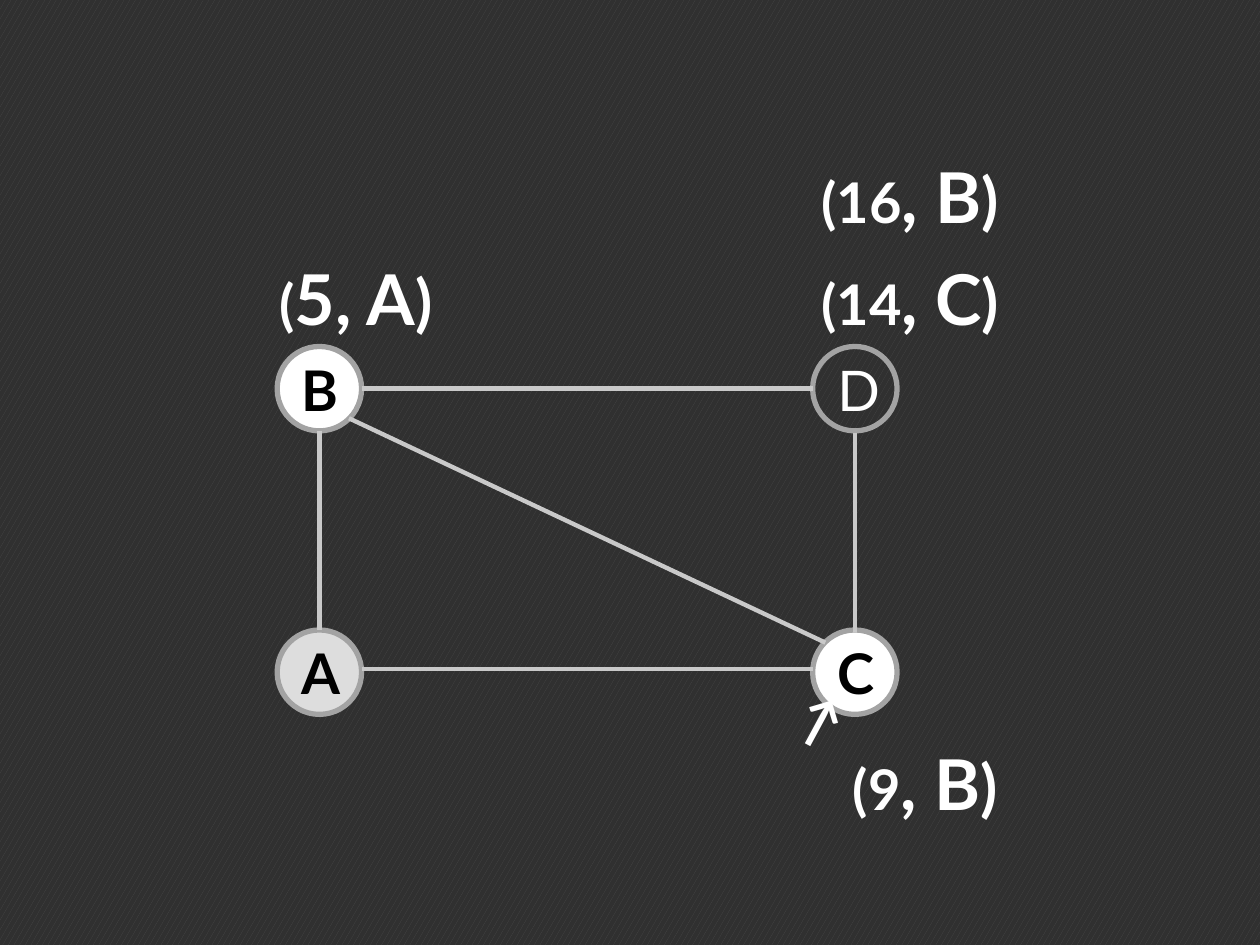
from lxml import etree
from pptx import Presentation
from pptx.dml.color import RGBColor
from pptx.enum.dml import MSO_PATTERN
from pptx.enum.shapes import MSO_CONNECTOR, MSO_SHAPE
from pptx.enum.text import MSO_ANCHOR, MSO_AUTO_SIZE, PP_ALIGN
from pptx.oxml.ns import qn
from pptx.util import Inches, Pt

COLORS = {
    "background": "303030",
    "hatch": "474747",
    "visited": "FFFFFF",
    "start": "DDDDDD",
    "ring": "A3A3A3",
    "edge": "C9C9C9",
    "light": "FFFFFF",
    "dark": "000000",
}
NODE_SIZE = 0.67


def color(name):
    return RGBColor.from_string(COLORS[name])


def add_text(paragraph, text, size=32, ink="light", bold=True):
    run = paragraph.add_run()
    run.text = text
    run.font.name = "Lato"
    run.font.size = Pt(size)
    run.font.bold = bold
    run.font.color.rgb = color(ink)


def add_background(slide):
    fill = slide.background.fill
    fill.patterned()
    fill.pattern = MSO_PATTERN.LARGE_CONFETTI
    fill.fore_color.rgb = color("hatch")
    fill.back_color.rgb = color("background")


def add_node(slide, letter, left, top, fill=None):
    """Draw a graph node; one without a fill is still unvisited."""
    node = slide.shapes.add_shape(
        MSO_SHAPE.OVAL, Inches(left), Inches(top), Inches(NODE_SIZE), Inches(NODE_SIZE))
    node.shadow.inherit = False
    if fill:
        node.fill.solid()
        node.fill.fore_color.rgb = color(fill)
    else:
        node.fill.background()
    node.line.color.rgb = color("ring")
    node.line.width = Pt(3)
    frame = node.text_frame
    frame.vertical_anchor = MSO_ANCHOR.MIDDLE
    paragraph = frame.paragraphs[0]
    paragraph.alignment = PP_ALIGN.CENTER
    add_text(paragraph, letter, ink="dark" if fill else "light", bold=bool(fill))


def add_edge(slide, x1, y1, x2, y2):
    edge = slide.shapes.add_connector(
        MSO_CONNECTOR.STRAIGHT, Inches(x1), Inches(y1), Inches(x2), Inches(y2))
    edge.line.color.rgb = color("edge")
    edge.line.width = Pt(2.5)
    etree.SubElement(edge.element.spPr, qn("a:effectLst"))


def add_label(slide, runs, left, top, width, height=0.77, rotation=0):
    """Place one line of text made of (text, size) runs."""
    label = slide.shapes.add_textbox(
        Inches(left), Inches(top), Inches(width), Inches(height))
    label.rotation = rotation
    frame = label.text_frame
    frame.word_wrap = False
    frame.auto_size = MSO_AUTO_SIZE.SHAPE_TO_FIT_TEXT
    for text, size in runs:
        add_text(frame.paragraphs[0], text, size)


def add_graph(slide, left, top, width, height):
    right = left + width - NODE_SIZE
    bottom = top + height - NODE_SIZE
    add_node(slide, "B", left, top, "visited")
    add_node(slide, "D", right, top)
    add_node(slide, "A", left, bottom, "start")
    add_node(slide, "C", right, bottom, "visited")

    radius = NODE_SIZE / 2
    inner_left = left + NODE_SIZE
    inner_top = top + NODE_SIZE
    for y in (top + radius, bottom + 0.31):
        add_edge(slide, inner_left, y, right, y)
    for x, drop in ((left + radius, 0), (right + radius, 0.02)):
        add_edge(slide, x, inner_top + drop, x, bottom + drop)
    corner = 0.1
    add_edge(slide, inner_left - corner, inner_top - corner,
             right + corner, bottom + corner)


def add_distance_labels(slide, left, top, width, height):
    """Label the nodes of the graph in this box with (distance, previous node)."""
    right = left + width - NODE_SIZE
    bottom = top + height
    above = top - 0.77
    add_label(slide, [("(", 32), ("5, A", 40), (")", 36)], left - 0.08, above, 1.58)
    add_label(slide, [("(16", 32), (", B", 40), (")", 36)], right - 0.03, above - 0.81, 1.79)
    add_label(slide, [("→", 32)], right - 0.29, bottom - 0.26, 0.64, 0.64, 298.4)
    add_label(slide, [("(9", 32), (", B", 40), (")", 36)], right + 0.22, bottom + 0.16, 1.52)
    add_label(slide, [("(14", 32), (", C", 40), (")", 36)], right - 0.03, above, 1.8)


def main():
    presentation = Presentation()
    presentation.slide_width = Inches(10)
    presentation.slide_height = Inches(7.5)
    slide = presentation.slides.add_slide(presentation.slide_layouts[6])
    add_background(slide)
    graph_box = (2.2, 2.75, 4.92, 2.92)
    add_graph(slide, *graph_box)
    add_distance_labels(slide, *graph_box)
    presentation.save("out.pptx")


if __name__ == "__main__":
    main()
